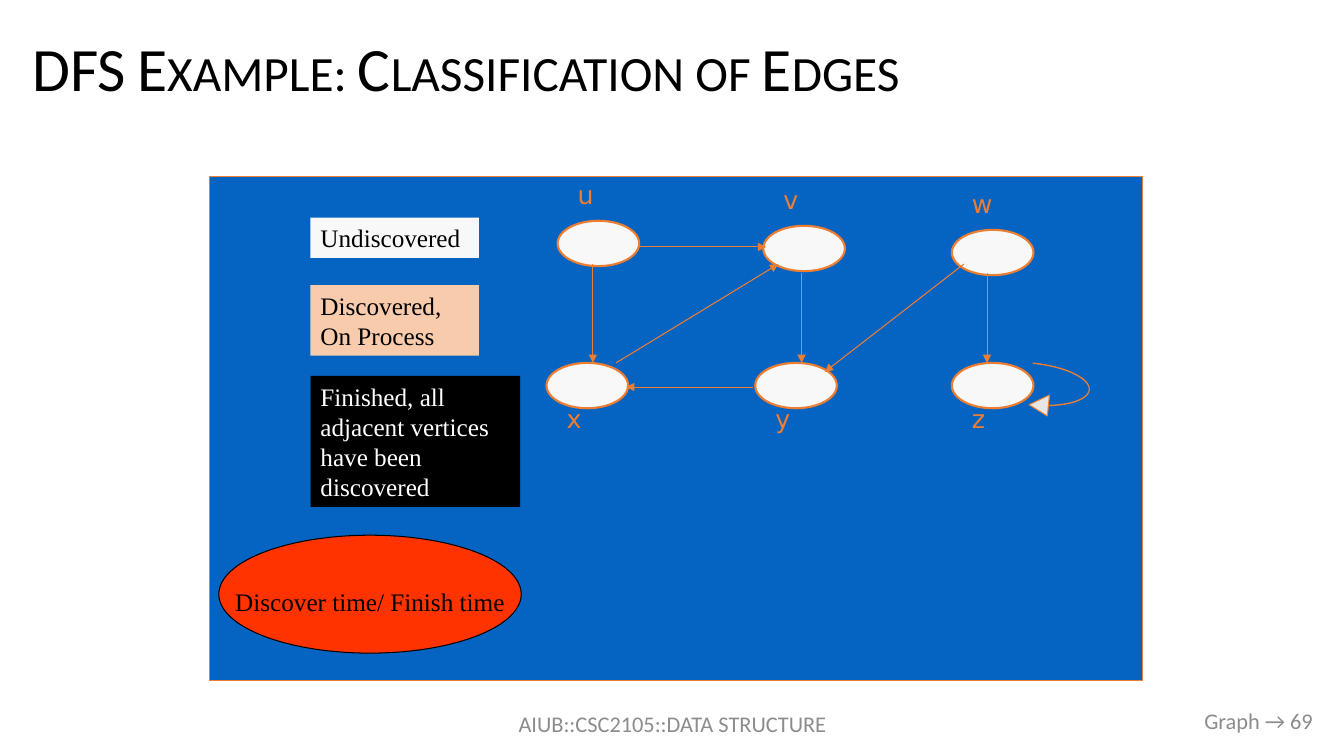
from dataclasses import dataclass

from lxml import etree
from pptx import Presentation
from pptx import util as u
from pptx.dml.color import RGBColor
from pptx.enum import shapes, text
from pptx.oxml.ns import qn

LEFT, CENTER, RIGHT = text.PP_ALIGN.LEFT, text.PP_ALIGN.CENTER, text.PP_ALIGN.RIGHT
TOP, MIDDLE = text.MSO_ANCHOR.TOP, text.MSO_ANCHOR.MIDDLE
RECT, OVAL = shapes.MSO_SHAPE.RECTANGLE, shapes.MSO_SHAPE.OVAL


@dataclass(frozen=True)
class Theme:
    black: str = "000000"
    white: str = "FFFFFF"
    muted: str = "8C8C8C"
    board: str = "0563C1"
    accent: str = "ED7D31"
    undiscovered: str = "F8F8F8"
    in_process: str = "F8CBAD"
    time_mark: str = "FF3300"
    loop: str = "E7E6E6"
    heading_font: str = "Calibri"
    legend_font: str = "Times New Roman"
    vertex_font: str = "DejaVu Sans"
    title_size: float = 44
    body_size: float = 18
    footer_size: float = 16
    thin: float = 0.75
    thick: float = 1.5


class GraphSlide:
    NODE_W, NODE_H = 0.81, 0.45

    def __init__(self, prs, theme):
        self.theme = theme
        self.s = prs.slides.add_slide(prs.slide_layouts[5])

    def add_text(self, sp, words, font, size, color, align=LEFT, anchor=TOP, wrap=True):
        tf = sp.text_frame
        tf.auto_size = text.MSO_AUTO_SIZE.NONE
        tf.word_wrap = wrap
        tf.vertical_anchor = anchor
        p = tf.paragraphs[0]
        p.alignment = align
        r = p.add_run()
        r.text = words
        r.font.name = font
        r.font.size = u.Pt(size)
        r.font.color.rgb = RGBColor.from_string(color)
        return p

    def title(self, words):
        t, sp = self.theme, self.s.shapes.title
        sp.left, sp.top = u.Inches(0.22), u.Inches(0.24)
        sp.width, sp.height = u.Inches(12.9), u.Inches(0.93)
        p = self.add_text(sp, words, t.heading_font, t.title_size, t.black, anchor=MIDDLE)
        p.line_spacing = 0.9
        p.runs[0]._r.get_or_add_rPr().set("cap", "small")

    def label(self, x, y, w, h, words, font, size, color, **layout):
        sp = self.s.shapes.add_textbox(*map(u.Inches, (x, y, w, h)))
        self.add_text(sp, words, font, size, color, **layout)
        return sp

    def footer(self, x, y, w, words, align):
        t = self.theme
        self.label(x, y, w, 0.4, words, t.heading_font, t.footer_size, t.muted,
                   align=align, anchor=MIDDLE)

    def shape(self, kind, x, y, w, h, fill, line=None, weight=0.75):
        sp = self.s.shapes.add_shape(kind, *map(u.Inches, (x, y, w, h)))
        sp.shadow.inherit = False
        sp.fill.solid()
        sp.fill.fore_color.rgb = RGBColor.from_string(fill)
        if line:
            sp.line.color.rgb = RGBColor.from_string(line)
            sp.line.width = u.Pt(weight)
        else:
            sp.line.fill.background()
        return sp

    def legend(self, y, w, h, words, fill, color):
        t = self.theme
        sp = self.shape(RECT, 3.08, y, w, h, fill)
        self.add_text(sp, words, t.legend_font, t.body_size, color)

    def vertex(self, name, x, y, label_dy):
        t = self.theme
        self.shape(OVAL, x, y, self.NODE_W, self.NODE_H, t.undiscovered, t.accent, t.thick)
        sp = self.label(x + 0.02, y + label_dy, self.NODE_W, 0.4, name,
                        t.vertex_font, t.body_size, t.accent)
        sp.text_frame.margin_left = u.Inches(0.18)

    def edge(self, start, end):
        t = self.theme
        line = self.s.shapes.add_connector(
            shapes.MSO_CONNECTOR.STRAIGHT, *map(u.Inches, start + end))
        line.line.color.rgb = RGBColor.from_string(t.accent)
        line.line.width = u.Pt(t.thin)
        sp_pr = line._element.spPr
        etree.SubElement(sp_pr.find(qn("a:ln")), qn("a:tailEnd"), type="triangle")
        etree.SubElement(sp_pr, qn("a:effectLst"))

    def self_loop(self, x, y, w, h):
        t = self.theme
        sp = self.shape(shapes.MSO_SHAPE.CURVED_DOWN_ARROW, x, y, w, h, t.loop, t.accent, t.thin)
        for i, value in enumerate((0.006, 0.402, 0.369)):
            sp.adjustments[i] = value
        sp.rotation = 95.8

    def time_mark(self, words):
        t = self.theme
        sp = self.shape(OVAL, 2.17, 5.31, 3, 1.17, t.time_mark, t.black, t.thin)
        self.add_text(sp, words, t.legend_font, t.body_size, t.black, CENTER, MIDDLE, wrap=False)
        sp.text_frame.margin_top = u.Inches(0.2)


def main():
    prs = Presentation()
    prs.slide_width, prs.slide_height = u.Inches(13.33), u.Inches(7.5)
    t = Theme()
    g = GraphSlide(prs, t)

    # Title and footers
    g.title("DFS Example: Classification of Edges")
    g.footer(4.42, 6.98, 4.5, "AIUB::CSC2105::DATA STRUCTURE", CENTER)
    g.footer(10.12, 6.95, 3, "Graph → 69", RIGHT)

    # Board
    g.shape(RECT, 2.08, 1.75, 9.25, 5, t.board, t.accent, t.thin)

    # Vertices: names above the upper row, below the lower row
    above, below = -0.46, 0.35
    for vertex in (("x", 5.42, 3.6, below), ("y", 7.49, 3.6, below), ("z", 9.44, 3.6, below),
                   ("u", 5.53, 2.19, above), ("v", 7.57, 2.24, above), ("w", 9.44, 2.28, above)):
        g.vertex(*vertex)

    # Directed edges
    for start, end in (
        ((6.34, 2.45), (7.6, 2.45)),   # u to v
        ((7.47, 3.84), (6.21, 3.84)),  # y to x
        ((7.95, 2.71), (7.95, 3.6)),   # v to y
        ((5.88, 2.62), (5.88, 3.6)),   # u to x
        ((9.79, 2.71), (9.79, 3.6)),   # w to z
        ((9.56, 2.62), (8.18, 3.69)),  # w to y
        ((6.11, 3.6), (7.72, 2.62)),   # x to v
    ):
        g.edge(start, end)
    g.self_loop(10.25, 3.6, 0.52, 0.58)

    # Legend
    g.legend(2.16, 1.67, 0.4, "Undiscovered", t.undiscovered, t.black)
    g.legend(2.83, 1.67, 0.7, "Discovered, On Process", t.in_process, t.black)
    g.legend(3.73, 2.08, 1.3, "Finished, all adjacent vertices have been discovered",
             t.black, t.white)
    g.time_mark("Discover time/ Finish time")

    prs.save("out.pptx")


if __name__ == "__main__":
    main()
